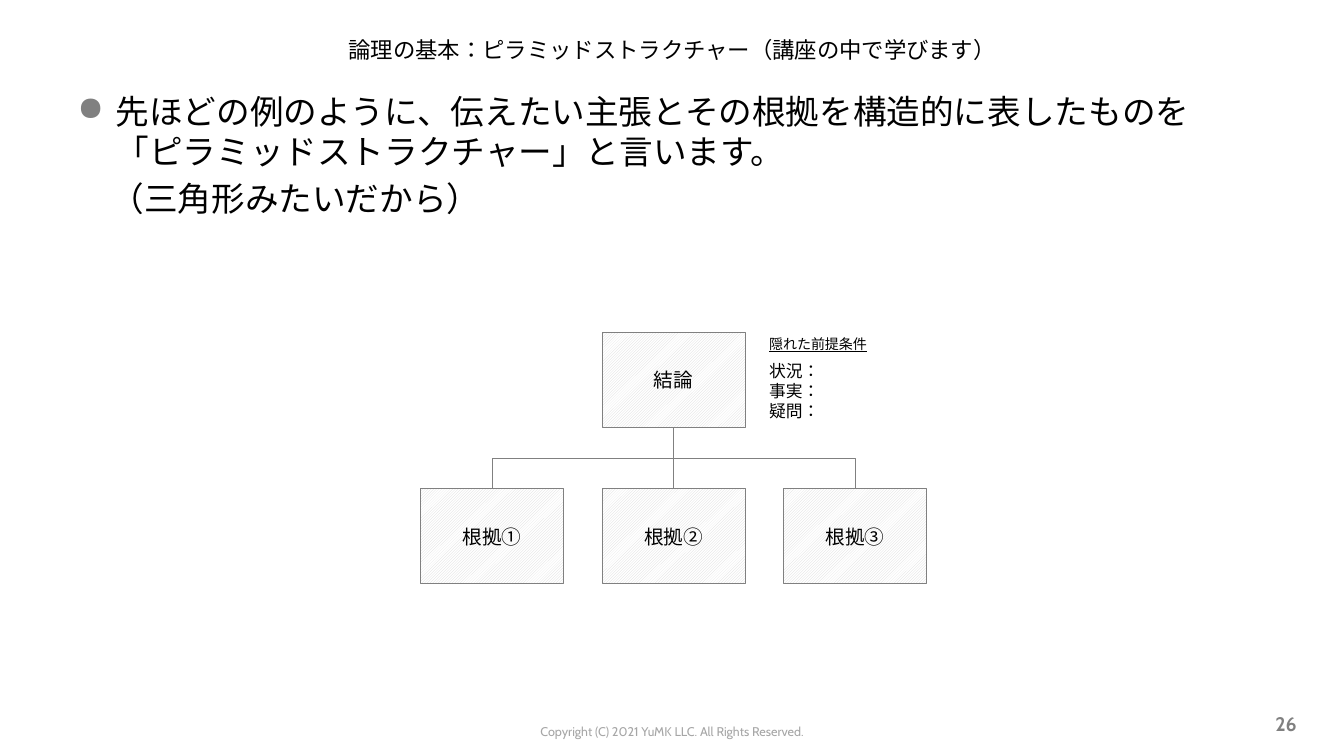
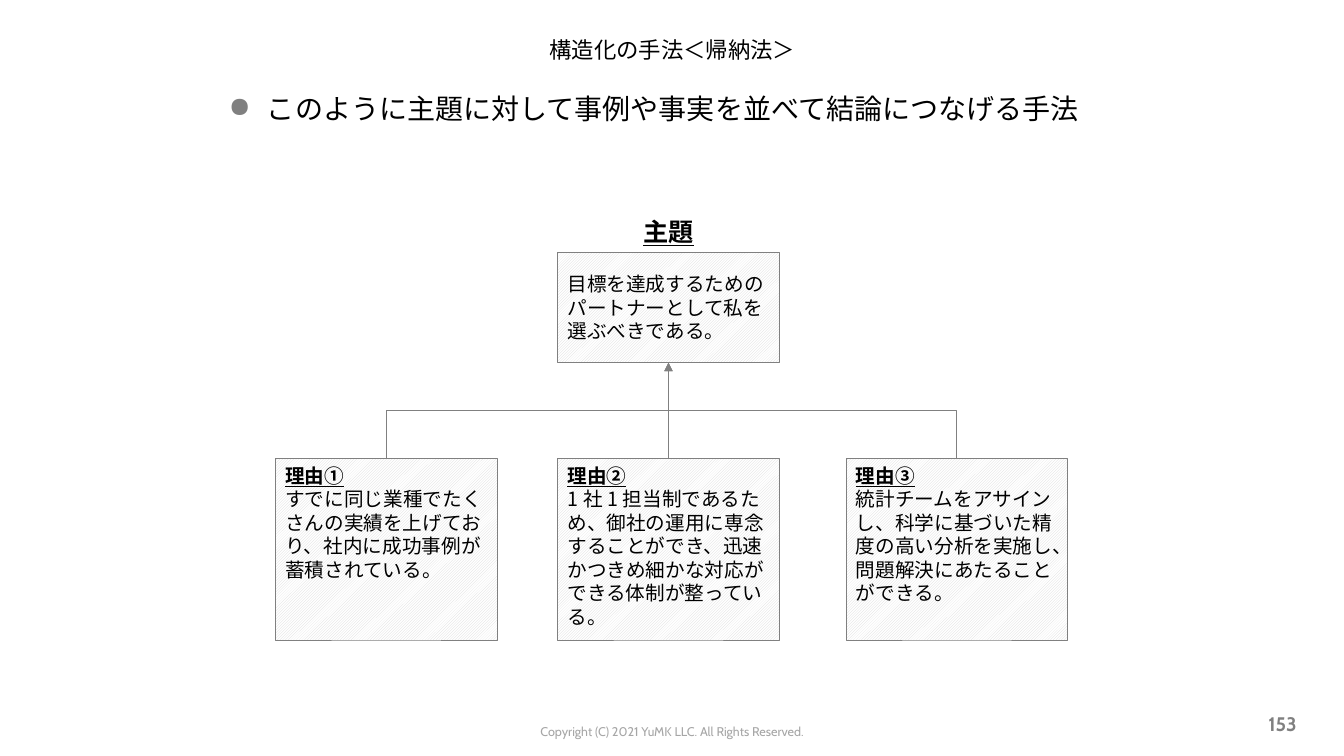
"""Build two slides that explain the pyramid structure and induction."""
import dataclasses
import typing

import lxml.etree
import pptx
import pptx.dml.color
import pptx.enum.dml
import pptx.enum.lang
import pptx.enum.shapes
import pptx.enum.text
import pptx.oxml.ns
import pptx.presentation
import pptx.shapes.connector
import pptx.slide
import pptx.text.text
import pptx.util

Inches = pptx.util.Inches
Pt = pptx.util.Pt
qn = pptx.oxml.ns.qn
Align = pptx.enum.text.PP_ALIGN
Anchor = pptx.enum.text.MSO_ANCHOR
Connector = pptx.enum.shapes.MSO_CONNECTOR

COLORS = {"text": "000000", "gray": "808080", "footer": "A6A6A6", "hatch": "D9D9D9", "paper": "FFFFFF"}
BODY_FONT = "Noto Sans CJK JP"
LABEL_FONT = "Cabin"
BULLET_INDENT = 0.38


@dataclasses.dataclass(frozen=True)
class Line:
    text: str
    size: float
    bold: bool = False
    underline: bool = False
    color: str = "text"
    font: str = BODY_FONT
    align: Align = Align.LEFT
    space_before: float = 0
    bullet: bool = False
    indent: float = 0


@dataclasses.dataclass(frozen=True)
class Area:
    left: float
    top: float
    width: float
    height: float

    @property
    def center(self) -> float:
        return self.left + self.width / 2

    @property
    def bottom(self) -> float:
        return self.top + self.height

    def lengths(self) -> list[pptx.util.Length]:
        return [Inches(value) for value in dataclasses.astuple(self)]


@dataclasses.dataclass(frozen=True)
class Box:
    area: Area
    lines: tuple[Line, ...]
    anchor: Anchor = Anchor.MIDDLE


def color(name: str) -> pptx.dml.color.RGBColor:
    return pptx.dml.color.RGBColor.from_string(COLORS[name])


def add_bullet(paragraph: pptx.text.text._Paragraph) -> None:
    properties = paragraph._p.get_or_add_pPr()
    properties.set("marL", str(Inches(BULLET_INDENT)))
    properties.set("indent", str(-Inches(BULLET_INDENT)))
    bullet_color = lxml.etree.SubElement(properties, qn("a:buClr"))
    lxml.etree.SubElement(bullet_color, qn("a:srgbClr"), val=COLORS["gray"])
    lxml.etree.SubElement(properties, qn("a:buChar"), char="●")


def write_lines(frame: pptx.text.text.TextFrame, lines: typing.Sequence[Line], anchor: Anchor) -> None:
    frame.word_wrap = True
    frame.vertical_anchor = anchor
    frame.text = "\n".join(line.text for line in lines)
    for paragraph, line in zip(frame.paragraphs, lines):
        if line.bullet:
            add_bullet(paragraph)
        elif line.indent:
            paragraph._p.get_or_add_pPr().set("marL", str(Inches(line.indent)))
        paragraph.alignment = line.align
        if line.space_before:
            paragraph.space_before = Pt(line.space_before)
        for run in paragraph.runs:
            run.font.size = Pt(line.size)
            run.font.bold = line.bold
            run.font.underline = line.underline
            run.font.color.rgb = color(line.color)
            run.font.language_id = pptx.enum.lang.MSO_LANGUAGE_ID.JAPANESE
            run.font.name = line.font
            lxml.etree.SubElement(run._r.get_or_add_rPr(), qn("a:ea"), typeface=line.font)


def add_text(
    slide: pptx.slide.Slide, area: Area, lines: typing.Sequence[Line], anchor: Anchor = Anchor.TOP
) -> None:
    shape = slide.shapes.add_textbox(*area.lengths())
    write_lines(shape.text_frame, lines, anchor)


def add_box(slide: pptx.slide.Slide, box: Box) -> None:
    shape = slide.shapes.add_shape(pptx.enum.shapes.MSO_SHAPE.RECTANGLE, *box.area.lengths())
    shape.shadow.inherit = False
    shape.fill.patterned()
    shape.fill.pattern = pptx.enum.dml.MSO_PATTERN.LIGHT_UPWARD_DIAGONAL
    shape.fill.fore_color.rgb = color("hatch")
    shape.fill.back_color.rgb = color("paper")
    shape.line.color.rgb = color("gray")
    shape.line.width = Pt(0.5)
    write_lines(shape.text_frame, box.lines, box.anchor)


def style_connector(connector: pptx.shapes.connector.Connector, arrow: bool) -> None:
    connector.line.color.rgb = color("gray")
    connector.line.width = Pt(0.5)
    if arrow:
        lxml.etree.SubElement(connector.line._get_or_add_ln(), qn("a:tailEnd"), type="triangle")
    lxml.etree.SubElement(connector._element.spPr, qn("a:effectLst"))


def add_branch(slide: pptx.slide.Slide, child: Area, parent: Area, arrow: bool) -> None:
    """Join the top of a child to the bottom of its parent, leaving vertically."""
    offset = parent.center - child.center
    rise = child.top - parent.bottom
    if abs(offset) < 0.01:
        points = (child.center, child.top, parent.center, parent.bottom)
        connector = slide.shapes.add_connector(Connector.STRAIGHT, *map(Inches, points))
    else:
        middle_x = (child.center + parent.center) / 2
        middle_y = (child.top + parent.bottom) / 2
        side = 1 if offset > 0 else -1
        half_width, half_height = side * rise / 2, abs(offset) / 2
        points = (middle_x + half_width, middle_y + half_height, middle_x - half_width, middle_y - half_height)
        connector = slide.shapes.add_connector(Connector.ELBOW, *map(Inches, points))
        degrees = 90 if side > 0 else 270
        connector._element.spPr.find(qn("a:xfrm")).set("rot", str(degrees * 60000))
    style_connector(connector, arrow)


def add_tree(slide: pptx.slide.Slide, parent: Box, children: typing.Sequence[Box], arrow: bool) -> None:
    for box in (parent, *children):
        add_box(slide, box)
    for child in children:
        add_branch(slide, child.area, parent.area, arrow)


def add_page(presentation: pptx.presentation.Presentation, title: str, number: int) -> pptx.slide.Slide:
    slide = presentation.slides.add_slide(presentation.slide_layouts[6])
    copyright_line = Line(
        "Copyright (C) 2021 YuMK LLC. All Rights Reserved.",
        9, color="footer", font=LABEL_FONT, align=Align.CENTER,
    )
    number_line = Line(str(number), 14, bold=True, color="gray", font=LABEL_FONT, align=Align.RIGHT)
    add_text(slide, Area(4.2, 7.13, 4.93, 0.25), [copyright_line])
    add_text(slide, Area(0.67, 0.22, 12, 0.54), [Line(title, 16, align=Align.CENTER)], Anchor.MIDDLE)
    add_text(slide, Area(9.85, 6.98, 3.11, 0.4), [number_line], Anchor.MIDDLE)
    return slide


def build_pyramid(presentation: pptx.presentation.Presentation) -> None:
    slide = add_page(presentation, "論理の基本：ピラミッドストラクチャー（講座の中で学びます）", 26)
    add_text(slide, Area(0.67, 0.85, 12, 5.79), [
        Line(
            "先ほどの例のように、伝えたい主張とその根拠を構造的に表したものを\v"
            "「ピラミッドストラクチャー」と言います。",
            24, bullet=True,
        ),
        Line("（三角形みたいだから）", 24, space_before=4.8, indent=0.33),
    ])
    width, height, pitch = 1.42, 0.94, 1.8
    middle = 5.97
    conclusion = Box(Area(middle, 3.3, width, height), (Line("結論", 14, align=Align.CENTER),))
    grounds = [
        Box(
            Area(middle + (index - 1) * pitch, 4.85, width, height),
            (Line(label, 14, align=Align.CENTER),),
        )
        for index, label in enumerate(("根拠①", "根拠②", "根拠③"))
    ]
    add_tree(slide, conclusion, grounds, arrow=False)
    add_text(slide, Area(7.53, 3.28, 1.48, 0.96), [
        Line("隠れた前提条件", 10, underline=True),
        Line("状況：", 12, space_before=6),
        Line("事実：", 12),
        Line("疑問：", 12),
    ])


def build_induction(presentation: pptx.presentation.Presentation) -> None:
    slide = add_page(presentation, "構造化の手法＜帰納法＞", 153)
    add_text(slide, Area(2.17, 0.86, 9, 5.79), [
        Line("このように主題に対して事例や事実を並べて結論につなげる手法", 20, bullet=True),
    ])
    add_text(slide, Area(6.13, 2.1, 1, 0.4), [
        Line("主題", 18, bold=True, underline=True, align=Align.CENTER),
    ])
    width = 2.2
    theme = Box(
        Area(5.53, 2.5, width, 1.1),
        (Line("目標を達成するためのパートナーとして私を選ぶべきである。", 14),),
    )
    reasons = (
        (2.73, "理由①", "すでに同じ業種でたくさんの実績を上げており、社内に成功事例が蓄積されている。"),
        (5.53, "理由②", "1社1担当制であるため、御社の運用に専念することができ、"
                        "迅速かつきめ細かな対応ができる体制が整っている。"),
        (8.39, "理由③", "統計チームをアサインし、科学に基づいた精度の高い分析を実施し、"
                        "問題解決にあたることができる。"),
    )
    boxes = [
        Box(
            Area(left, 4.55, width, 1.8),
            (Line(heading, 14, bold=True, underline=True), Line(detail, 14)),
            Anchor.TOP,
        )
        for left, heading, detail in reasons
    ]
    add_tree(slide, theme, boxes, arrow=True)


def main() -> None:
    presentation = pptx.Presentation()
    presentation.slide_width = Inches(13.33)
    presentation.slide_height = Inches(7.5)
    build_pyramid(presentation)
    build_induction(presentation)
    presentation.save("out.pptx")


if __name__ == "__main__":
    main()
